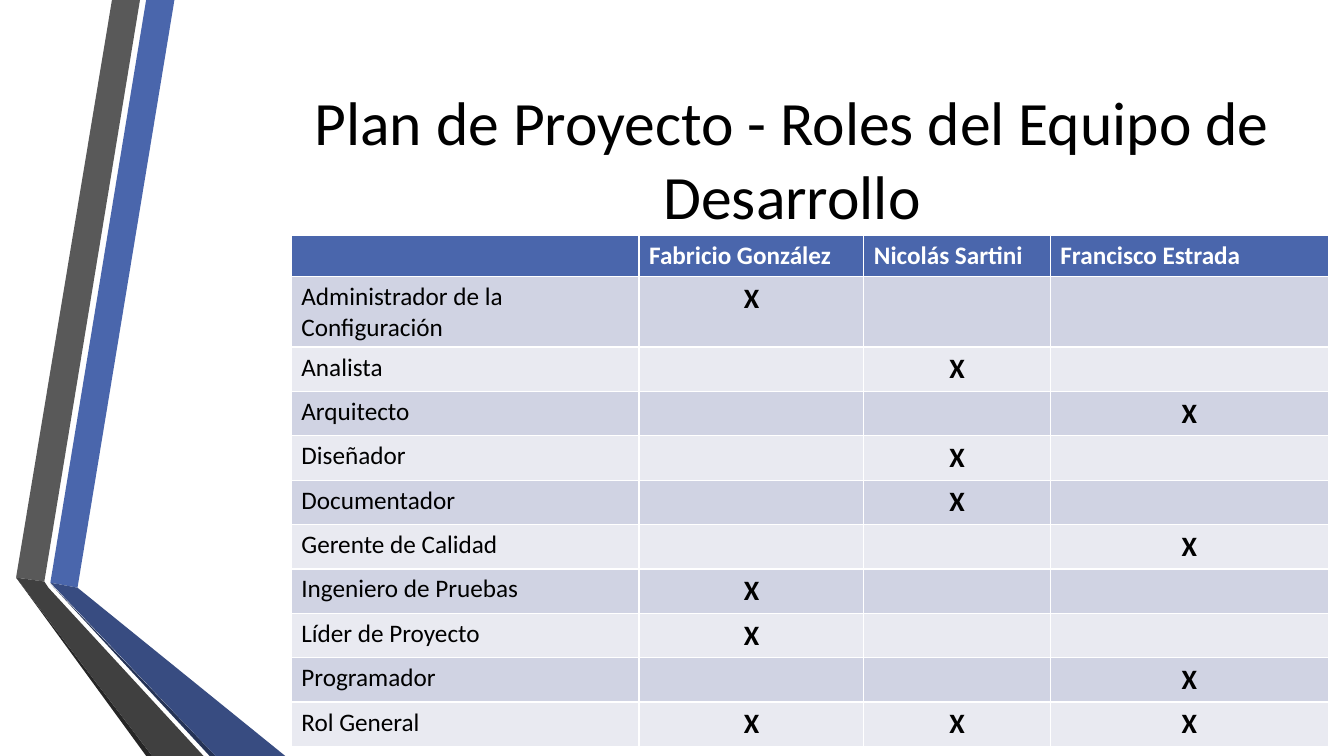
from pptx import Presentation
from pptx.dml.color import RGBColor
from pptx.enum.text import MSO_ANCHOR, PP_ALIGN
from pptx.util import Pt

CENTER = PP_ALIGN.CENTER
LEFT = PP_ALIGN.LEFT
MIDDLE = MSO_ANCHOR.MIDDLE

FONT = "Calibri"
COLORS = {
    "blue": "4A66AC",
    "blue_dark": "384C81",
    "blue_shadow": "253356",
    "gray": "595959",
    "gray_dark": "404040",
    "gray_shadow": "262626",
    "band_odd": "D0D3E3",
    "band_even": "E9EAF1",
    "black": "000000",
    "white": "FFFFFF",
}

# Outlines in points, from the top left corner of the ribbon
RIBBON_PARTS = [
    ("blue", [(24.5, 416.2), (43.9, 419.8), (113.1, 0), (92.9, 0)]),
    ("gray", [(88.5, 0), (68.5, 0), (0, 412.6), (20.2, 415.4)]),
    ("gray_shadow", [(0, 412.6), (92.9, 540), (97.2, 540)]),
    ("blue_shadow", [(24.5, 416.9), (138.3, 540), (142.6, 540)]),
    ("blue_dark", [(24.5, 416.2), (142.6, 540), (192.3, 540), (43.9, 419.8)]),
    ("gray_dark", [(0, 412.6), (97.2, 540), (133.9, 540), (23.1, 419.8), (20.2, 415.4)]),
]

MEMBERS = ["Fabricio González", "Nicolás Sartini", "Francisco Estrada"]
# Each role with the columns of the members who hold it
ROLES = [
    ("Administrador de la Configuración", [1]),
    ("Analista", [2]),
    ("Arquitecto", [3]),
    ("Diseñador", [2]),
    ("Documentador", [2]),
    ("Gerente de Calidad", [3]),
    ("Ingeniero de Pruebas", [1]),
    ("Líder de Proyecto", [1]),
    ("Programador", [3]),
    ("Rol General", [1, 2, 3]),
]
COLUMN_SHARES = [3.45, 2.23, 1.85, 2.76]
HEADER_HEIGHT, TWO_LINE_HEIGHT, ROLE_HEIGHT = 29.5, 50.4, 31.7


def rgb(name):
    return RGBColor.from_string(COLORS[name])


def write(text_frame, text, size, color, bold=False, alignment=LEFT):
    text_frame.text = text
    paragraph = text_frame.paragraphs[0]
    paragraph.alignment = alignment
    for run in paragraph.runs:
        run.font.name = FONT
        run.font.size = Pt(size)
        run.font.bold = bold
        run.font.color.rgb = rgb(color)


def add_ribbon(slide, left, top):
    for color, outline in RIBBON_PARTS:
        points = [(Pt(left + x), Pt(top + y)) for x, y in outline]
        builder = slide.shapes.build_freeform(*points[0])
        builder.add_line_segments(points[1:], close=True)
        shape = builder.convert_to_shape()
        shape.shadow.inherit = False
        shape.fill.solid()
        shape.fill.fore_color.rgb = rgb(color)
        shape.line.fill.background()


def add_title(slide, left, top, width, height):
    box = slide.shapes.add_textbox(Pt(left), Pt(top), Pt(width), Pt(height))
    text_frame = box.text_frame
    text_frame.word_wrap = True
    text_frame.vertical_anchor = MIDDLE
    write(text_frame, "Plan de Proyecto - Roles del Equipo de Desarrollo",
          44, "black", alignment=CENTER)


def add_roles_table(slide, left, top, width):
    """Header of members, then one banded row per role; borders come from the table style."""
    heights = [HEADER_HEIGHT, TWO_LINE_HEIGHT] + [ROLE_HEIGHT] * (len(ROLES) - 1)
    table = slide.shapes.add_table(
        len(heights), len(COLUMN_SHARES),
        Pt(left), Pt(top), Pt(width), Pt(sum(heights))).table
    for column, share in zip(table.columns, COLUMN_SHARES):
        column.width = Pt(width * share / sum(COLUMN_SHARES))

    for row_index, height in enumerate(heights):
        table.rows[row_index].height = Pt(height)
        if row_index == 0:
            fill = "blue"
        else:
            fill = "band_odd" if row_index % 2 else "band_even"
        for column_index in range(len(COLUMN_SHARES)):
            cell = table.cell(row_index, column_index)
            cell.fill.solid()
            cell.fill.fore_color.rgb = rgb(fill)

    for column_index, member in enumerate(MEMBERS, start=1):
        write(table.cell(0, column_index).text_frame, member, 18, "white", bold=True)
    for row_index, (role, holders) in enumerate(ROLES, start=1):
        write(table.cell(row_index, 0).text_frame, role, 18, "black")
        for column_index in holders:
            write(table.cell(row_index, column_index).text_frame, "X", 20, "black",
                  bold=True, alignment=CENTER)


def main():
    presentation = Presentation()
    presentation.slide_width = Pt(960)
    presentation.slide_height = Pt(540)
    slide = presentation.slides.add_slide(presentation.slide_layouts[6])
    add_ribbon(slide, 11.5, 0)
    add_title(slide, 171.4, 43.9, 789, 138.2)
    add_roles_table(slide, 208.1, 168, 740.9)
    presentation.save("out.pptx")


if __name__ == "__main__":
    main()
